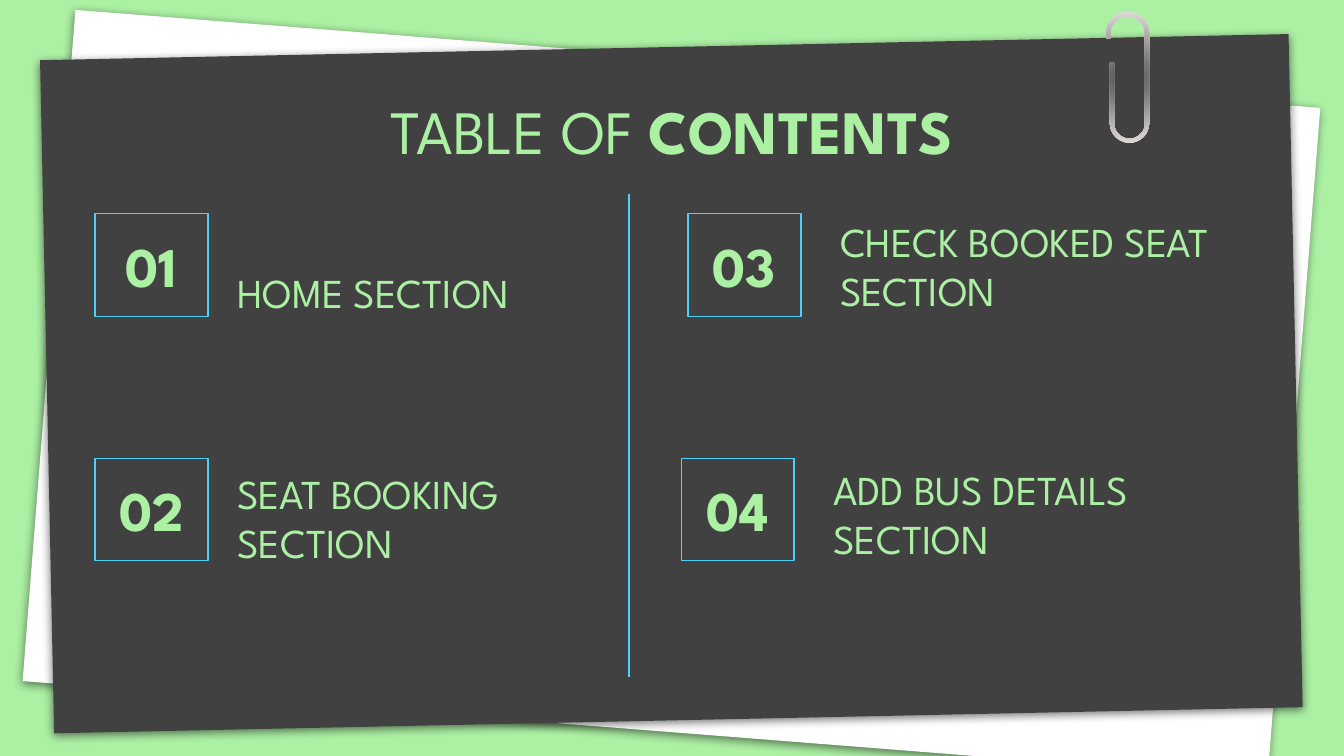
import math
from dataclasses import dataclass

import pptx
import pptx.dml.color
import pptx.enum.shapes
import pptx.enum.text
import pptx.oxml
import pptx.oxml.ns
import pptx.util
from lxml import etree

Pt = pptx.util.Pt
Align = pptx.enum.text.PP_ALIGN
Anchor = pptx.enum.text.MSO_ANCHOR
RECTANGLE = pptx.enum.shapes.MSO_SHAPE.RECTANGLE


@dataclass(frozen=True)
class Theme:
    font: str = "League Spartan"
    green: str = "ACF0A4"
    charcoal: str = "414141"
    paper: str = "FFFFFF"
    blue: str = "49D1F7"
    silver: str = "E7E0E0"
    heading_size: float = 33
    number_size: float = 30
    label_size: float = 22
    inset: float = 7.2


THEME = Theme()


def rgb(color):
    return pptx.dml.color.RGBColor.from_string(color)


def place(shape, left, top, width, height):
    shape.left, shape.top = Pt(left), Pt(top)
    shape.width, shape.height = Pt(width), Pt(height)


def write_text(shape, *runs, size, bold=(False,), align=Align.LEFT, anchor=Anchor.TOP):
    frame = shape.text_frame
    frame.word_wrap = True
    frame.auto_size = pptx.enum.text.MSO_AUTO_SIZE.NONE
    frame.vertical_anchor = anchor
    frame.margin_left = frame.margin_right = Pt(THEME.inset)
    frame.margin_top = frame.margin_bottom = Pt(THEME.inset)
    paragraph = frame.paragraphs[0]
    properties = paragraph._p.get_or_add_pPr()
    properties.set("marL", "0")
    properties.set("indent", "0")
    etree.SubElement(properties, pptx.oxml.ns.qn("a:buNone"))
    paragraph.alignment = align
    paragraph.space_before = Pt(0)
    for words, heavy in zip(runs, bold):
        run = paragraph.add_run()
        run.text = words
        run.font.name = THEME.font
        run.font.size = Pt(size)
        run.font.bold = heavy
        run.font.color.rgb = rgb(THEME.green)


def add_card(slide, box, color, rotation, depth):
    card = slide.shapes.add_shape(RECTANGLE, *map(Pt, box))
    card.rotation = rotation
    card.fill.solid()
    card.fill.fore_color.rgb = rgb(color)
    card.line.fill.background()
    card._element.spPr.append(pptx.oxml.parse_xml(
        f'<a:effectLst {pptx.oxml.ns.nsdecls("a")}>'
        f'<a:outerShdw blurRad="{Pt(4.5)}" dist="{Pt(1.5)}" dir="5400000" rotWithShape="0">'
        '<a:srgbClr val="000000"><a:alpha val="50000"/></a:srgbClr>'
        '</a:outerShdw></a:effectLst>'
    ))
    slide.shapes._spTree.insert(2 + depth, card._element)


def add_heading(slide, box):
    heading = slide.shapes.title
    place(heading, *box)
    write_text(heading, "TABLE OF ", "CONTENTS", size=THEME.heading_size,
               bold=(False, True), align=Align.CENTER)


def add_section(slide, box, label, number, words, label_offset):
    left, top, width, height = box
    badge = slide.shapes.add_shape(RECTANGLE, *map(Pt, (left, top, 60.5, 55)))
    badge.shadow.inherit = False
    badge.fill.background()
    badge.line.color.rgb = rgb(THEME.blue)
    badge.line.width = Pt(0.75)
    write_text(badge, number, size=THEME.number_size, bold=(True,),
               align=Align.CENTER, anchor=Anchor.MIDDLE)
    label_height = 67
    place(label, left + label_offset, top + height - label_height,
          width - label_offset, label_height)
    write_text(label, words, size=THEME.label_size, anchor=Anchor.BOTTOM)


def add_divider(slide, left, top, height):
    divider = slide.shapes.add_connector(
        pptx.enum.shapes.MSO_CONNECTOR.STRAIGHT,
        Pt(left), Pt(top), Pt(left), Pt(top + height))
    divider.line.color.rgb = rgb(THEME.blue)
    divider.line.width = Pt(1.5)
    etree.SubElement(divider._element.spPr, pptx.oxml.ns.qn("a:effectLst"))


def arc(center_x, center_y, radius, start):
    angles = [math.radians(start + step * 7.5) for step in range(25)]
    return [(center_x + radius * math.cos(angle), center_y + radius * math.sin(angle))
            for angle in angles]


def add_paper_clip(slide, box):
    left, top, width, height = box
    wire = 2.2
    upper, lower = width / 2, width / 2 - 1

    def edge(inward):
        return [(inward, 14), *arc(upper, upper, upper - inward, 180),
                *arc(width - lower, height - lower, lower - inward, 0),
                (width - 2 * lower + inward, 27.2)]

    outline = [(Pt(left + x), Pt(top + y)) for x, y in edge(0) + edge(wire)[::-1]]
    builder = slide.shapes.build_freeform(*outline[0])
    builder.add_line_segments(outline[1:], close=True)
    clip = builder.convert_to_shape()
    clip.shadow.inherit = False
    clip.line.fill.background()
    clip.fill.gradient()
    for stop, color, position in zip(clip.fill.gradient_stops,
                                     (THEME.charcoal, THEME.silver), (0, 1)):
        stop.color.rgb = rgb(color)
        stop.position = position
    linear = clip._element.spPr.find(".//" + pptx.oxml.ns.qn("a:lin"))
    linear.getparent().replace(linear, pptx.oxml.parse_xml(
        f'<a:path {pptx.oxml.ns.nsdecls("a")} path="circle">'
        '<a:fillToRect l="50000" t="50000" r="50000" b="50000"/></a:path>'
    ))


def build_contents(presentation, box):
    left, top, width, height = box
    slide = presentation.slides.add_slide(
        presentation.slide_layouts.get_by_name("Comparison"))
    slide.background.fill.solid()
    slide.background.fill.fore_color.rgb = rgb(THEME.green)
    add_card(slide, (left + 25.2, top + 31, 669, 360.7), THEME.paper, 4.5, 0)
    add_card(slide, (left + 25.2, top + 25.2, 669, 360.7), THEME.charcoal, 358.8, 1)
    add_heading(slide, (left + 64, top + 42.5, width - 128, 45.4))

    first_row, second_row = top + 114.5, top + 245.5
    sections = [
        ("01", "HOME SECTION", (left + 51, first_row, 259, 62.6), 69),
        ("02", "SEAT BOOKING SECTION", (left + 51, second_row, 268, 65.5), 69),
        ("03", "CHECK BOOKED SEAT SECTION", (left + 368.6, first_row, 311, 61.2), 74.2),
        ("04", "ADD BUS DETAILS SECTION", (left + 365, second_row, 286, 63.4), 74.2),
    ]
    labels = list(slide.placeholders)[1:]
    for label, (number, words, section_box, offset) in zip(labels, sections):
        add_section(slide, section_box, label, number, words, offset)
    add_divider(slide, left + 337, top + 103.7, 259.2)
    add_paper_clip(slide, (left + 592.6, top + 6.5, 23, 70))


def main():
    presentation = pptx.Presentation()
    presentation.slide_width, presentation.slide_height = Pt(720), Pt(405)
    build_contents(presentation, (0, 0, 720, 405))
    presentation.save("out.pptx")


if __name__ == "__main__":
    main()
